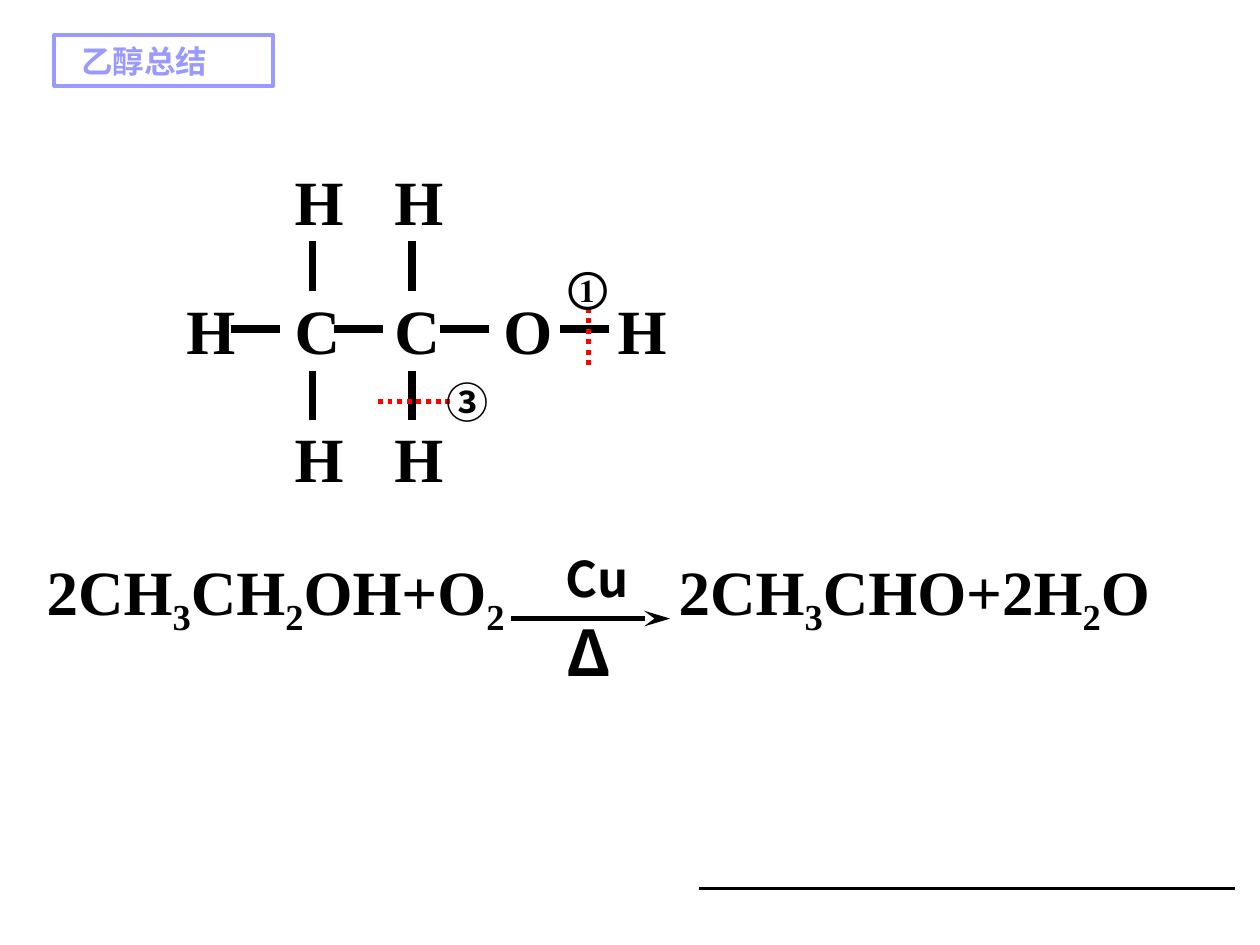
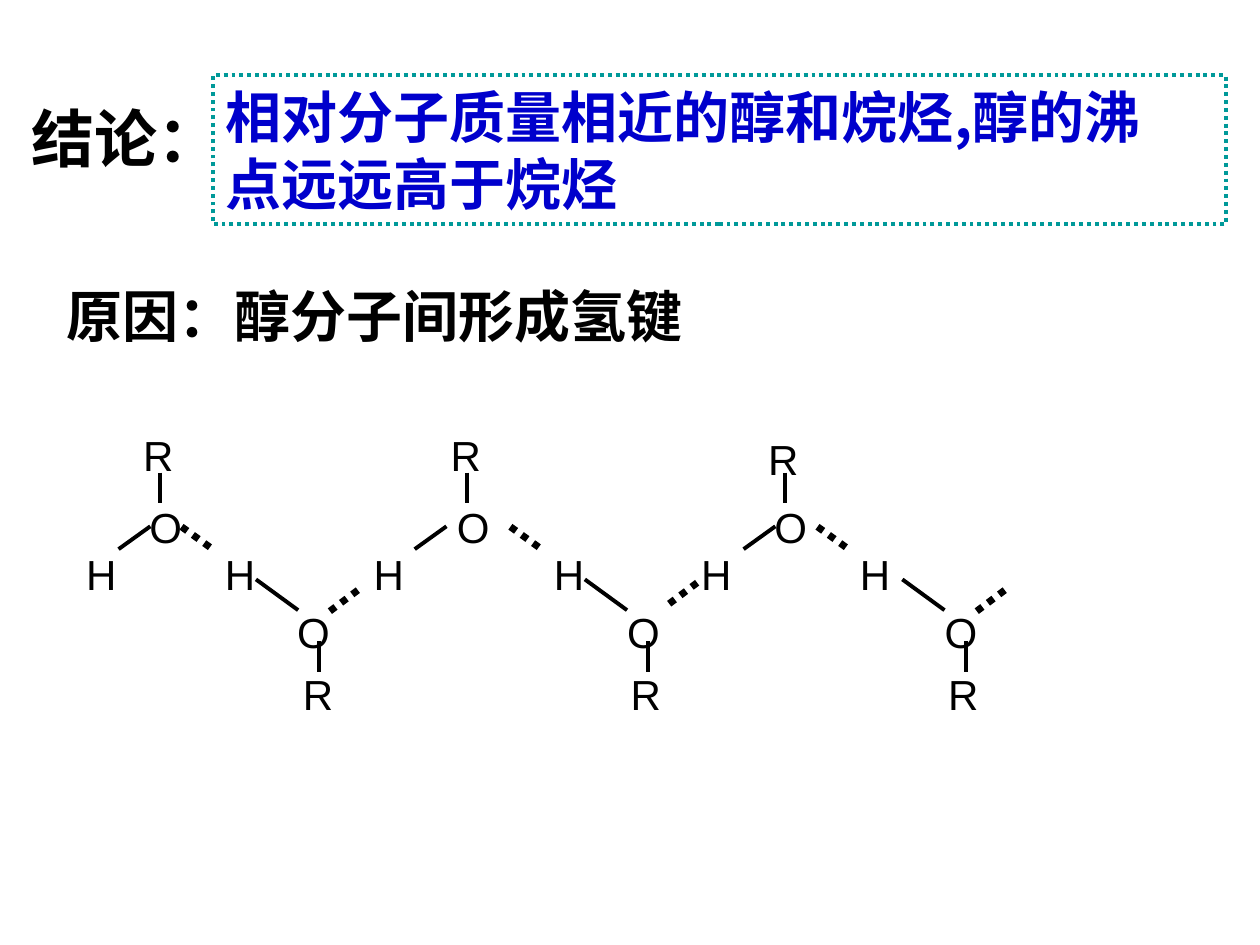
from lxml import etree
from pptx import Presentation
from pptx.dml.color import RGBColor
from pptx.enum.dml import MSO_LINE
from pptx.enum.shapes import MSO_CONNECTOR, MSO_SHAPE
from pptx.enum.text import MSO_ANCHOR, PP_ALIGN
from pptx.oxml.ns import qn
from pptx.util import Cm, Pt

STRAIGHT = MSO_CONNECTOR.STRAIGHT
RECTANGLE = MSO_SHAPE.RECTANGLE
DOTTED = MSO_LINE.ROUND_DOT
TOP, MIDDLE = MSO_ANCHOR.TOP, MSO_ANCHOR.MIDDLE
LEFT, CENTER = PP_ALIGN.LEFT, PP_ALIGN.CENTER

BLACK = RGBColor(0x00, 0x00, 0x00)
RED = RGBColor(0xFF, 0x00, 0x00)
LILAC = RGBColor(0x99, 0x99, 0xFF)
TEAL = RGBColor(0x00, 0x99, 0x99)
BLUE = RGBColor(0x00, 0x00, 0xCC)

SERIF, SANS, CHINESE = "Times New Roman", "Arial", "Noto Sans CJK SC"
FORMULA = {"name": SERIF, "size": Pt(36), "bold": True}
SITE_MARK = {"name": SERIF, "size": Pt(24), "bold": True}
CATALYST = {"name": CHINESE, "size": Pt(28), "bold": True}
HEATING = {"name": CHINESE, "size": Pt(36), "bold": True}
TAG = {"name": CHINESE, "size": Pt(18), "bold": True}
HEADING = {"name": SANS, "size": Pt(36), "bold": True}
CONCLUSION = {"name": CHINESE, "size": Pt(32), "bold": True}
REASON = {"name": SANS, "size": Pt(32), "bold": True}
ATOM = {"name": SANS, "size": Pt(24), "bold": False}

ATOM_WIDTH = 1.5


def add_span(para, text, style, color, subscript=False):
    """Add one formatted run of text to a paragraph."""
    span = para.add_run()
    span.text = text
    for name, value in style.items():
        setattr(span.font, name, value)
    span.font.color.rgb = color
    properties = span.font._element
    etree.SubElement(properties, qn("a:ea")).set("typeface", style["name"])
    if subscript:
        properties.set("baseline", "-25000")


def fill_text(box, lines, style, color=BLACK, align=LEFT, anchor=TOP,
              spacing=None, inset=(0.25, 0.13)):
    """Write lines into a box, lowering the digits marked with an underscore."""
    frame = box.text_frame
    frame.word_wrap = True
    frame.vertical_anchor = anchor
    frame.margin_left, frame.margin_top = Cm(inset[0]), Cm(inset[1])
    for index, line in enumerate(lines):
        para = frame.paragraphs[0] if index == 0 else frame.add_paragraph()
        para.alignment = align
        para.line_spacing = spacing
        first, *rest = line.split("_")
        add_span(para, first, style, color)
        for part in rest:
            add_span(para, part[0], style, color, subscript=True)
            if part[1:]:
                add_span(para, part[1:], style, color)


def add_label(page, text, left, top, width, height, style, **layout):
    """Add a text box holding one line."""
    box = page.shapes.add_textbox(Cm(left), Cm(top), Cm(width), Cm(height))
    fill_text(box, [text], style, **layout)


def add_frame(page, lines, left, top, width, height, border, style, dash=None,
              **layout):
    """Add an outlined rectangle with text."""
    box = page.shapes.add_shape(RECTANGLE, Cm(left), Cm(top), Cm(width), Cm(height))
    box.shadow.inherit = False
    box.fill.background()
    box.line.color.rgb = border
    box.line.width = Pt(2.25)
    box.line.dash_style = dash
    fill_text(box, lines, style, **layout)


def add_line(page, left, top, across, down, weight, color=BLACK, dash=None,
             arrow=False):
    """Add a straight line from a point, with an optional arrowhead."""
    line = page.shapes.add_connector(
        STRAIGHT, Cm(left), Cm(top), Cm(left + across), Cm(top + down))
    line.line.color.rgb = color
    line.line.width = Pt(weight)
    line.line.dash_style = dash
    properties = line._element.spPr
    if arrow:
        tail = etree.SubElement(properties.find(qn("a:ln")), qn("a:tailEnd"))
        tail.set("type", "stealth")
        tail.set("len", "lg")
    etree.SubElement(properties, qn("a:effectLst"))


def add_ethanol(page):
    """Draw the structural formula of ethanol with its breaking bonds."""
    atoms = [("H", 3.51, 5.74), ("O", 9.9, 5.74), ("H", 12.2, 5.74)]
    for left in (5.69, 7.7):
        atoms += [("H", left, 3.15), ("C", left, 5.74), ("H", left, 8.33)]
    for symbol, left, top in atoms:
        add_label(page, symbol, left, top, 1.6, 1.78, FORMULA)
    for left in (6.3, 8.31):
        for top in (4.86, 7.47):
            add_line(page, left, top, 0, 1, 4.5)
    for left in (4.65, 6.73, 8.86, 11.28):
        add_line(page, left, 6.63, 1, 0, 4.5)

    add_line(page, 11.86, 6.2, 0, 1.27, 3, RED, DOTTED)
    add_line(page, 7.62, 8.1, 1.47, 0, 2.75, RED, DOTTED)
    add_label(page, "①", 11, 5.13, 1.7, 1.27, SITE_MARK, align=CENTER)
    add_label(page, "③", 8.57, 7.46, 1.7, 1.27,
              {**SITE_MARK, "name": CHINESE}, align=CENTER)


def add_oxidation(page):
    """Write the equation for the catalytic oxidation of ethanol."""
    for formula, left in (("2CH_3CH_2OH+O_2", 0.69), ("2CH_3CHO+2H_2O", 13.43)):
        add_label(page, formula, left, 11, 11, 1.78, FORMULA)
    add_label(page, "Cu", 11.16, 10.93, 2.2, 1.5, CATALYST)
    add_label(page, "Δ", 11.17, 12.23, 2, 1.78, HEATING)
    add_line(page, 10.31, 12.47, 3.2, 0, 3, arrow=True)


def add_hydrogen_bonds(page):
    """Draw the chain of alcohol molecules joined by hydrogen bonds."""
    atom_rows = [
        ("R", 8.53, (3.19, 9.39)),
        ("R", 8.61, (15.79,)),
        ("O", 9.98, (3.34, 9.54, 15.94)),
        ("H", 10.92, (2.04, 4.84, 7.84, 11.47, 14.44, 17.64)),
        ("O", 12.09, (6.32, 12.97, 19.37)),
        ("R", 13.34, (6.41, 13.02, 19.42)),
    ]
    for symbol, top, centers in atom_rows:
        for center in centers:
            add_label(page, symbol, center - ATOM_WIDTH / 2, top, ATOM_WIDTH, 1.27,
                      ATOM, align=CENTER)

    bond_rows = [
        (9.53, (3.23, 9.42, 15.82), 0, 0.62),
        (11.07, (2.39, 8.36, 14.99), 0.64, -0.46),
        (11.68, (5.16, 11.79, 18.19), 0.85, 0.62),
        (12.93, (6.43, 13.06, 19.48), 0, 0.62),
    ]
    for top, lefts, across, down in bond_rows:
        for left in lefts:
            add_line(page, left, top, across, down, 2.25)

    hydrogen_bond_rows = [
        (10.62, (3.66, 10.29, 16.48), 0.46),
        (12.32, (6.65, 19.69), -0.48),
        (12.17, (13.49,), -0.48),
    ]
    for top, lefts, down in hydrogen_bond_rows:
        for left in lefts:
            add_line(page, left, top, 0.64, down, 4, dash=DOTTED)


def build_summary(page):
    """Build the ethanol summary."""
    add_ethanol(page)
    add_oxidation(page)
    add_line(page, 14.1, 17.91, 10.8, 0, 2)
    add_frame(page, ["乙醇总结"], 1.09, 0.71, 4.42, 1.02, LILAC, TAG,
              color=LILAC, anchor=MIDDLE, inset=(0.55, 0.13))


def build_boiling_points(page):
    """Build the conclusion about boiling points and its reason."""
    add_label(page, "结论：", 0, 1.93, 5.08, 1.68, HEADING,
              align=CENTER, anchor=MIDDLE)
    add_frame(page, ["相对分子质量相近的醇和烷烃,醇的沸", "点远远高于烷烃"],
              4.29, 1.52, 20.42, 3, TEAL, CONCLUSION, dash=DOTTED,
              color=BLUE, spacing=Pt(38.3), inset=(0.25, 0.14))
    add_label(page, "原因：醇分子间形成氢键", 1.09, 5.54, 15.44, 1.63, REASON)
    add_hydrogen_bonds(page)


def main():
    """Build and save the deck."""
    deck = Presentation()
    deck.slide_width, deck.slide_height = Cm(25.4), Cm(19.05)
    for build in (build_summary, build_boiling_points):
        build(deck.slides.add_slide(deck.slide_layouts[6]))
    deck.save("out.pptx")


if __name__ == "__main__":
    main()
